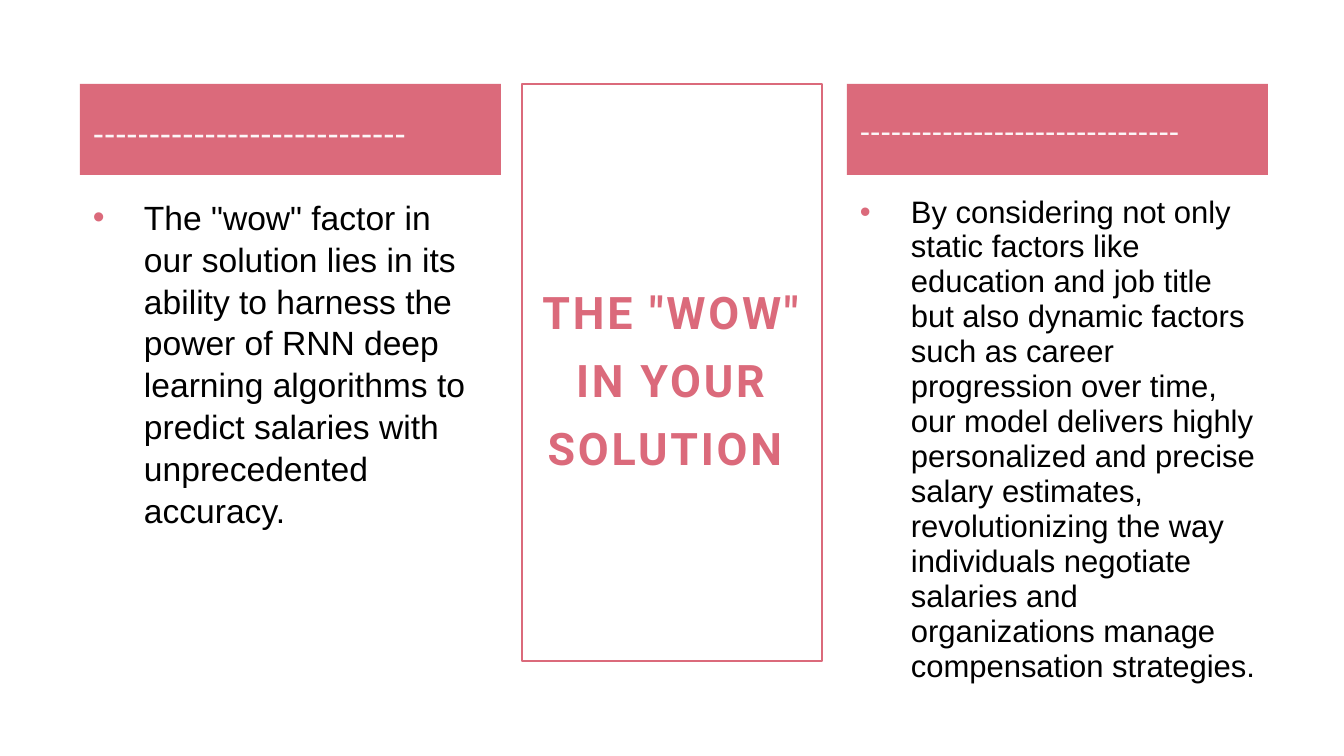
from dataclasses import dataclass

import pptx
import pptx.dml.color
import pptx.enum.shapes
import pptx.enum.text
import pptx.oxml.ns
import pptx.util
from lxml import etree

EMU_PER_PX = 914400 / 134.4
ROSE, PALE, BLACK = "DB6A7B", "FCF7F8", "000000"
PANEL_TOP, HEADER_HEIGHT = 84, 91
BODY_TOP, BODY_HEIGHT = 182, 479
COLUMN_WIDTH = 421
BULLET_INDENT = 51


@dataclass
class Column:
    left: int
    heading: str
    body: str
    size: float
    heading_spacing: float
    body_spacing: float


COLUMNS = [
    Column(80, "----------------------------",
           'The "wow" factor in our solution lies in its ability to harness the '
           "power of RNN deep learning algorithms to predict salaries with "
           "unprecedented accuracy.", 18, 1.0, 1.04),
    Column(847, "-------------------------------",
           "By considering not only static factors like education and job title "
           "but also dynamic factors such as career progression over time, our "
           "model delivers highly personalized and precise salary estimates, "
           "revolutionizing the way individuals negotiate salaries and "
           "organizations manage compensation strategies.", 16.6, 0.9, 0.94),
]


def px(length: int) -> pptx.util.Emu:
    return pptx.util.Emu(round(length * EMU_PER_PX))


def rgb(colour: str) -> pptx.dml.color.RGBColor:
    return pptx.dml.color.RGBColor.from_string(colour)


def add_box(slide, left: int, top: int, width: int, height: int):
    box = slide.shapes.add_shape(pptx.enum.shapes.MSO_SHAPE.RECTANGLE,
                                 px(left), px(top), px(width), px(height))
    box.shadow.inherit = False
    return box


def write(shape, text: str, size: float, colour: str, spacing: float,
          font: str = "Arial", centred: bool = False, middle: bool = True):
    """Fill a shape with one paragraph and return that paragraph."""
    frame = shape.text_frame
    frame.text = text
    frame.word_wrap = True
    frame.margin_left = frame.margin_right = frame.margin_top = px(13)
    frame.margin_bottom = px(7)
    anchors = pptx.enum.text.MSO_ANCHOR
    frame.vertical_anchor = anchors.MIDDLE if middle else anchors.TOP
    paragraph = frame.paragraphs[0]
    alignments = pptx.enum.text.PP_ALIGN
    paragraph.alignment = alignments.CENTER if centred else alignments.LEFT
    paragraph.line_spacing = spacing
    run_font = paragraph.runs[0].font
    run_font.name = font
    run_font.size = pptx.util.Pt(size)
    run_font.color.rgb = rgb(colour)
    return paragraph


def add_bullet(paragraph, colour: str) -> None:
    qn = pptx.oxml.ns.qn
    properties = paragraph._p.get_or_add_pPr()
    properties.set("marL", str(px(BULLET_INDENT)))
    properties.set("indent", str(-px(BULLET_INDENT)))
    bullet_colour = etree.SubElement(properties, qn("a:buClr"))
    etree.SubElement(bullet_colour, qn("a:srgbClr"), val=colour)
    etree.SubElement(properties, qn("a:buFont"), typeface="Arial")
    etree.SubElement(properties, qn("a:buChar"), char="•")


def draw_title(slide) -> None:
    title = add_box(slide, 522, PANEL_TOP, 300, 577)
    title.fill.background()
    title.line.color.rgb = rgb(ROSE)
    title.line.width = pptx.util.Pt(0.75)
    paragraph = write(title, 'THE "WOW" IN YOUR SOLUTION ', 24, ROSE, 1.27,
                      font="Roboto", centred=True)
    title.text_frame.margin_top = title.text_frame.margin_bottom = px(7)
    run = paragraph.runs[0]
    run.font.bold = True
    run._r.get_or_add_rPr().set("spc", "150")


def draw_column(slide, column: Column) -> None:
    # Coloured heading band
    heading = add_box(slide, column.left, PANEL_TOP, COLUMN_WIDTH, HEADER_HEIGHT)
    heading.fill.solid()
    heading.fill.fore_color.rgb = rgb(ROSE)
    heading.line.fill.background()
    paragraph = write(heading, column.heading, column.size, PALE,
                      column.heading_spacing)
    paragraph.space_before = pptx.util.Pt(12)

    # Bulleted text
    body = slide.shapes.add_textbox(px(column.left), px(BODY_TOP),
                                    px(COLUMN_WIDTH), px(BODY_HEIGHT))
    paragraph = write(body, column.body, column.size, BLACK,
                      column.body_spacing, middle=False)
    paragraph.space_before = pptx.util.Pt(12)
    add_bullet(paragraph, ROSE)


def main() -> None:
    deck = pptx.Presentation()
    deck.slide_width, deck.slide_height = px(1344), px(756)
    slide = deck.slides.add_slide(deck.slide_layouts[6])
    draw_title(slide)
    for column in COLUMNS:
        draw_column(slide, column)
    deck.save("out.pptx")


if __name__ == "__main__":
    main()
